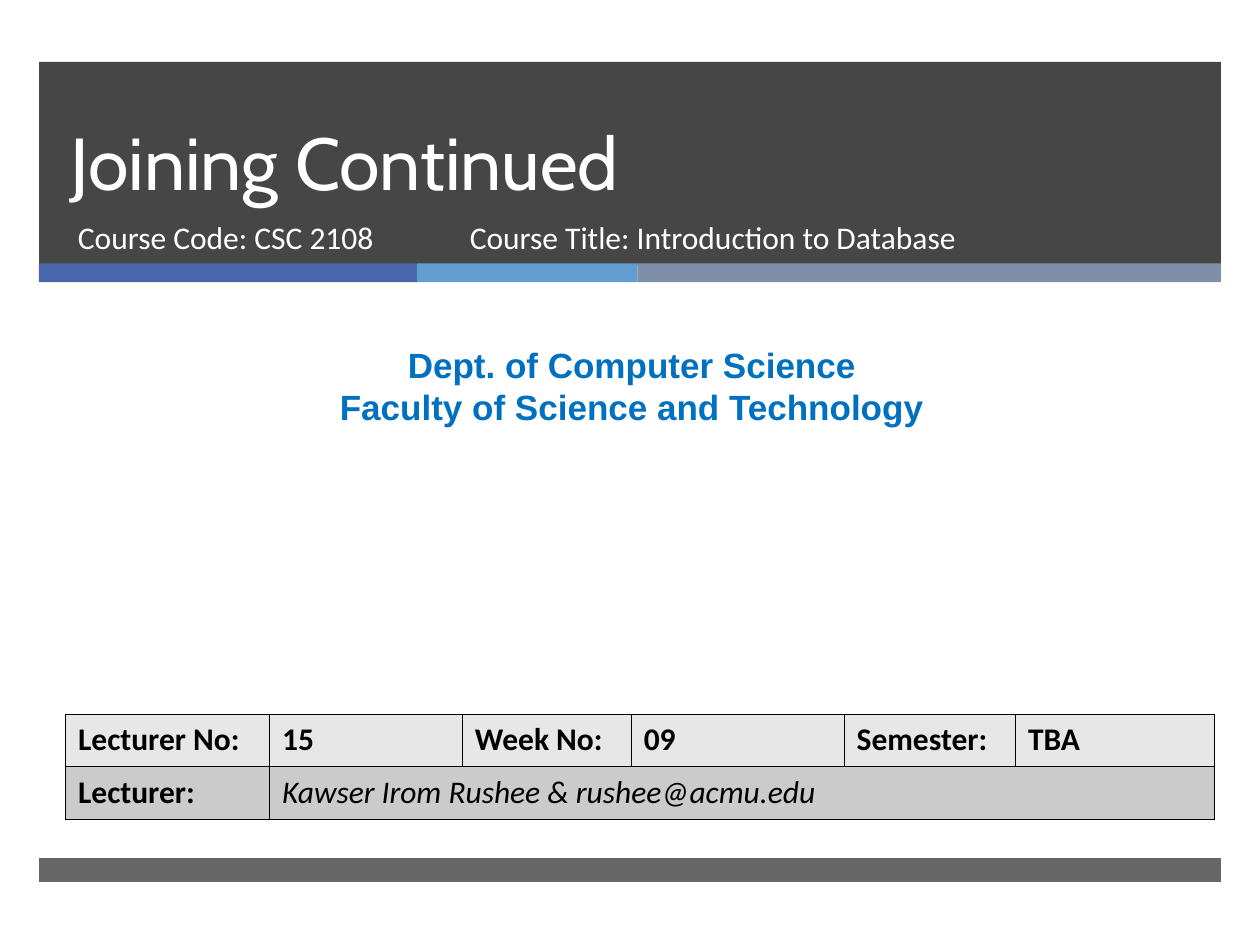
from typing import NamedTuple

from lxml.etree import SubElement
from pptx import Presentation
from pptx.dml.color import RGBColor
from pptx.enum.shapes import MSO_SHAPE
from pptx.enum.text import MSO_ANCHOR, MSO_AUTO_SIZE, PP_ALIGN
from pptx.oxml.ns import qn
from pptx.util import Inches, Pt


class Box(NamedTuple):
    left: float
    top: float
    width: float
    height: float


class Bar(NamedTuple):
    box: Box
    color: str
    opacity: int = 100


class Label(NamedTuple):
    box: Box
    lines: list[str]
    font: dict
    align: PP_ALIGN = PP_ALIGN.LEFT


LEFT, WIDTH = 0.31, 9.38
STRIPE_TOP, STRIPE_HEIGHT = 2.09, 0.15
STRIPES = [(3, "4A66AC"), (1.75, "629DD1"), (4.63, "7F8FA9")]

TITLE_BOX = Box(0.46, 0.49, 8.54, 1.19)
TITLE_FONT = {"name": "Cabin", "size": Pt(42), "color": "FFFFFF"}
COURSE_FONT = {"name": "Calibri", "size": Pt(18), "color": "FFFFFF"}
DEPT_FONT = {"name": "Arial", "size": Pt(20), "bold": True, "color": "0070C0"}
CELL_FONT = {"name": "Calibri", "size": Pt(18), "bold": True, "color": "000000"}
EMAIL_FONT = CELL_FONT | {"bold": False, "italic": True}

LABELS = [
    Label(Box(0.52, 1.68, 3.05, 0.53), ["Course Code: CSC 2108"], COURSE_FONT),
    Label(Box(0.08, 2.68, 9.87, 0.77),
          ["Dept. of Computer Science", "Faculty of Science and Technology"],
          DEPT_FONT, PP_ALIGN.CENTER),
    Label(Box(3.63, 1.68, 4.55, 0.53),
          ["Course Title: Introduction to Database"], COURSE_FONT),
]

TABLE_BOX = Box(0.52, 5.67, 9.12, 0.83)
COLUMN_WIDTHS = [1.62, 1.53, 1.34, 1.69, 1.36, 1.58]
ROW_FILLS = ["E7E7E7", "CBCBCB"]
ROWS = [
    ["Lecturer No:", "15", "Week No:", "09", "Semester:", "TBA"],
    ["Lecturer:", "Kawser Irom Rushee & rushee@acmu.edu"],
]


def rgb(value: str) -> RGBColor:
    return RGBColor.from_string(value)


def emu(box: Box) -> list[Inches]:
    return [Inches(v) for v in box]


def write(p, text: str, font: dict) -> None:
    r = p.add_run()
    r.text = text
    for key, value in font.items():
        if key == "color":
            r.font.color.rgb = rgb(value)
        else:
            setattr(r.font, key, value)


def draw_bar(s, bar: Bar) -> None:
    sp = s.shapes.add_shape(MSO_SHAPE.RECTANGLE, *emu(bar.box))
    sp.shadow.inherit = False
    sp.line.fill.background()
    sp.fill.solid()
    sp.fill.fore_color.rgb = rgb(bar.color)
    if bar.opacity < 100:
        color = sp.fill._xPr.find(qn("a:solidFill"))[0]
        SubElement(color, qn("a:alpha"), val=str(bar.opacity * 1000))


def draw_label(s, label: Label) -> None:
    tf = s.shapes.add_textbox(*emu(label.box)).text_frame
    tf.word_wrap = True
    for i, line in enumerate(label.lines):
        p = tf.add_paragraph() if i else tf.paragraphs[0]
        p.alignment = label.align
        write(p, line, label.font)


def draw_title(s, text: str) -> None:
    title = s.shapes.title
    title.left, title.top, title.width, title.height = emu(TITLE_BOX)
    s.shapes._spTree.append(title._element)  # in front of the header band
    tf = title.text_frame
    tf.auto_size = MSO_AUTO_SIZE.NONE
    tf.vertical_anchor = MSO_ANCHOR.BOTTOM
    p = tf.paragraphs[0]
    p.alignment = PP_ALIGN.LEFT
    p.line_spacing = Pt(46)
    write(p, text, TITLE_FONT)


def format_cell(cell, fill: str) -> None:
    """Set the fill of a cell and a thin black border on its four sides."""
    tcPr = cell._tc.get_or_add_tcPr()
    for side in ("a:lnL", "a:lnR", "a:lnT", "a:lnB"):
        ln = SubElement(tcPr, qn(side), w=str(Pt(0.45)))
        SubElement(SubElement(ln, qn("a:solidFill")), qn("a:srgbClr"), val="000000")
    cell.fill.solid()
    cell.fill.fore_color.rgb = rgb(fill)


def draw_table(s) -> None:
    table = s.shapes.add_table(len(ROWS), len(COLUMN_WIDTHS), *emu(TABLE_BOX)).table
    for column, width in zip(table.columns, COLUMN_WIDTHS):
        column.width = Inches(width)
    for row, fill in zip(table.rows, ROW_FILLS):
        for cell in row.cells:
            format_cell(cell, fill)
    table.cell(1, 1).merge(table.cell(1, len(COLUMN_WIDTHS) - 1))
    for i, texts in enumerate(ROWS):
        for j, text in enumerate(texts):
            font = EMAIL_FONT if (i, j) == (1, 1) else CELL_FONT
            write(table.cell(i, j).text_frame.paragraphs[0], text, font)


def main() -> None:
    prs = Presentation()
    prs.slide_width, prs.slide_height = Inches(10), Inches(7.5)
    s = prs.slides.add_slide(prs.slide_layouts[5])

    draw_bar(s, Bar(Box(LEFT, 0.49, WIDTH, 1.61), "262626", 85))
    x = LEFT
    for width, color in STRIPES:
        draw_bar(s, Bar(Box(x, STRIPE_TOP, width, STRIPE_HEIGHT), color))
        x += width
    draw_bar(s, Bar(Box(LEFT, 6.81, WIDTH, 0.19), "262626", 70))

    draw_title(s, "Joining Continued")
    for label in LABELS:
        draw_label(s, label)
    draw_table(s)
    prs.save("out.pptx")


if __name__ == "__main__":
    main()
